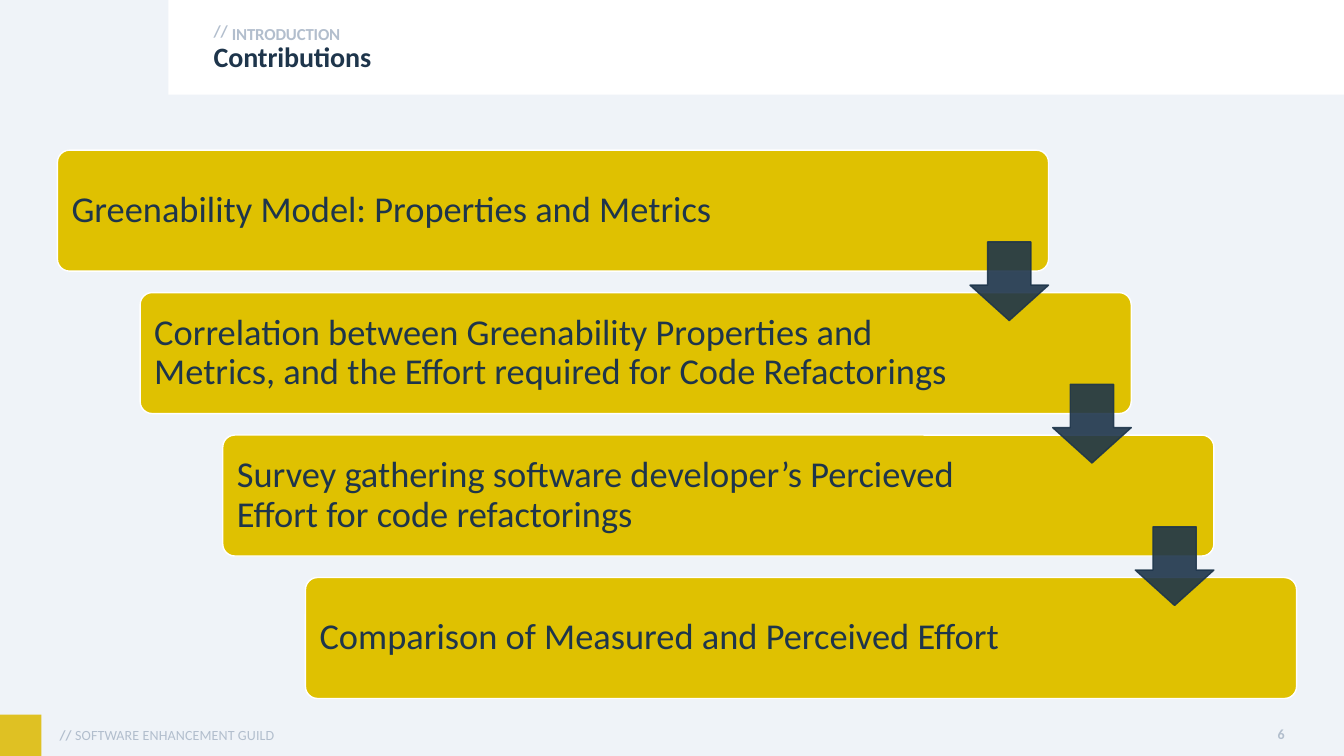
"""Builds the Contributions slide: four cascading cards joined by arrows."""
from lxml import etree
from pptx import Presentation
from pptx.dml.color import RGBColor
from pptx.enum.shapes import MSO_SHAPE
from pptx.enum.text import MSO_ANCHOR, PP_ALIGN
from pptx.oxml.ns import qn
from pptx.util import Inches, Pt

CONTRIBUTIONS = [
    "Greenability Model: Properties and Metrics",
    "Correlation between Greenability Properties and Metrics, "
    "and the Effort required for Code Refactorings",
    "Survey gathering software developer’s Percieved Effort for code refactorings",
    "Comparison of Measured and Perceived Effort",
]
SECTION = "INTRODUCTION"
TITLE = "Contributions"
FOOTER = " SOFTWARE ENHANCEMENT GUILD"
PAGE = "6"

RECTANGLE = MSO_SHAPE.RECTANGLE
ROUNDED = MSO_SHAPE.ROUNDED_RECTANGLE
DOWN_ARROW = MSO_SHAPE.DOWN_ARROW
TOP, MIDDLE = MSO_ANCHOR.TOP, MSO_ANCHOR.MIDDLE
LEFT, RIGHT = PP_ALIGN.LEFT, PP_ALIGN.RIGHT

FONT = "Calibri"
WHITE = RGBColor(0xFF, 0xFF, 0xFF)
PALE = RGBColor(0xEF, 0xF3, 0xF8)
GOLD = RGBColor(0xDF, 0xC1, 0x01)
CORNER_GOLD = RGBColor(0xDF, 0xC1, 0x23)
GREY = RGBColor(0xB2, 0xBE, 0xCD)
NAVY = RGBColor(0x1E, 0x35, 0x4B)

SLIDE_WIDTH, SLIDE_HEIGHT = 13.33, 7.5
CARD_WIDTH, CARD_HEIGHT = 9.83, 1.2
FIRST_LEFT, LAST_LEFT = 0.57, 3.03
FIRST_TOP, LAST_TOP = 1.49, 5.73
CARD_INSET = 0.03
ARROW_SIZE = 0.78
ARROW_DROP = 0.91


def set_alpha(color_format_parent, percent):
    """Makes every solid colour under an element partly transparent."""
    for color in color_format_parent.iter(qn("a:srgbClr")):
        etree.SubElement(color, qn("a:alpha")).set("val", str(percent * 1000))


def add_block(slide, kind, box, fill, line=None, adjustments=(), alpha=None):
    """Adds a filled preset shape."""
    shape = slide.shapes.add_shape(kind, *map(Inches, box))
    shape.shadow.inherit = False
    for index, value in enumerate(adjustments):
        shape.adjustments[index] = value
    shape.fill.solid()
    shape.fill.fore_color.rgb = fill
    if line is None:
        shape.line.fill.background()
    else:
        shape.line.color.rgb = line
        shape.line.width = Pt(1)
    if alpha is not None:
        set_alpha(shape.fill._xPr, alpha)
    return shape


def add_text(slide, text, box, size, color=GREY, bold=True, insets=(0, 0, 0, 0),
             anchor=TOP, align=LEFT, line_spacing=None, spacing=0, wrap=True, light_text=""):
    """Adds a one-paragraph text box, with an optional second run that is not bold."""
    text_box = slide.shapes.add_textbox(*map(Inches, box))
    frame = text_box.text_frame
    frame.word_wrap = wrap
    frame.vertical_anchor = anchor
    (frame.margin_left, frame.margin_top,
     frame.margin_right, frame.margin_bottom) = map(Inches, insets)
    paragraph = frame.paragraphs[0]
    paragraph.alignment = align
    if line_spacing:
        paragraph.line_spacing = line_spacing
    for content, weight in ((text, bold), (light_text, False)):
        if content:
            run = paragraph.add_run()
            run.text = content
            run.font.name = FONT
            run.font.size = Pt(size)
            run.font.bold = weight
            run.font.color.rgb = color
            if spacing:
                run.font._element.set("spc", str(round(spacing * 100)))
    return text_box


def add_frame(slide):
    """Draws the background, header and footer."""
    footer_insets = (0, 0.04, 0.1, 0.05)
    add_block(slide, RECTANGLE, (0, 0, SLIDE_WIDTH, SLIDE_HEIGHT), PALE)
    add_block(slide, RECTANGLE, (1.67, 0, 11.66, 0.94), WHITE)
    add_block(slide, RECTANGLE, (0, 7.09, 0.41, 0.41), CORNER_GOLD)
    add_text(slide, "//", (0.59, 7.09, 5.29, 0.41), 10, insets=footer_insets,
             anchor=MIDDLE, spacing=0.1, light_text=FOOTER)
    add_text(slide, PAGE, (12.57, 7.16, 0.27, 0.26), 10, insets=footer_insets,
             anchor=MIDDLE, align=RIGHT, spacing=0.1, wrap=False)
    add_text(slide, "//", (2.02, 0.16, 0.37, 0.3), 12, insets=(0.1, 0.05, 0.1, 0.05),
             anchor=MIDDLE, spacing=-0.1)
    add_text(slide, SECTION, (2.3, 0.19, 10.54, 0.24), 12, insets=(0, 0.02, 0.1, 0),
             line_spacing=1.14, spacing=-0.1)
    add_text(slide, TITLE, (2.12, 0.43, 10.73, 0.31), 20, color=NAVY,
             line_spacing=0.9, spacing=-0.1)


def add_cascade(slide):
    """Draws the cards stepping down to the right, then the arrows over them."""
    steps = len(CONTRIBUTIONS) - 1
    corners = [(FIRST_LEFT + (LAST_LEFT - FIRST_LEFT) * index / steps,
                FIRST_TOP + (LAST_TOP - FIRST_TOP) * index / steps)
               for index in range(steps + 1)]
    for (left, top), text in zip(corners, CONTRIBUTIONS):
        add_block(slide, ROUNDED, (left, top, CARD_WIDTH, CARD_HEIGHT), GOLD,
                  line=WHITE, adjustments=(0.1,))
        add_text(slide, text,
                 (left + CARD_INSET, top + CARD_INSET, 8.16, CARD_HEIGHT - 2 * CARD_INSET),
                 26, color=NAVY, bold=False, insets=(0.11,) * 4, anchor=MIDDLE,
                 line_spacing=0.9)
    for left, top in corners[:-1]:
        arrow_left = left + CARD_WIDTH - ARROW_SIZE
        arrow = add_block(slide, DOWN_ARROW,
                          (arrow_left, top + ARROW_DROP, ARROW_SIZE, ARROW_SIZE),
                          NAVY, line=NAVY, adjustments=(0.55, 0.45))
        set_alpha(arrow._element.spPr, 90)


def main():
    """Builds and saves the presentation."""
    presentation = Presentation()
    presentation.slide_width = Inches(SLIDE_WIDTH)
    presentation.slide_height = Inches(SLIDE_HEIGHT)
    slide = presentation.slides.add_slide(presentation.slide_layouts[6])
    add_frame(slide)
    add_cascade(slide)
    presentation.save("out.pptx")


if __name__ == "__main__":
    main()
